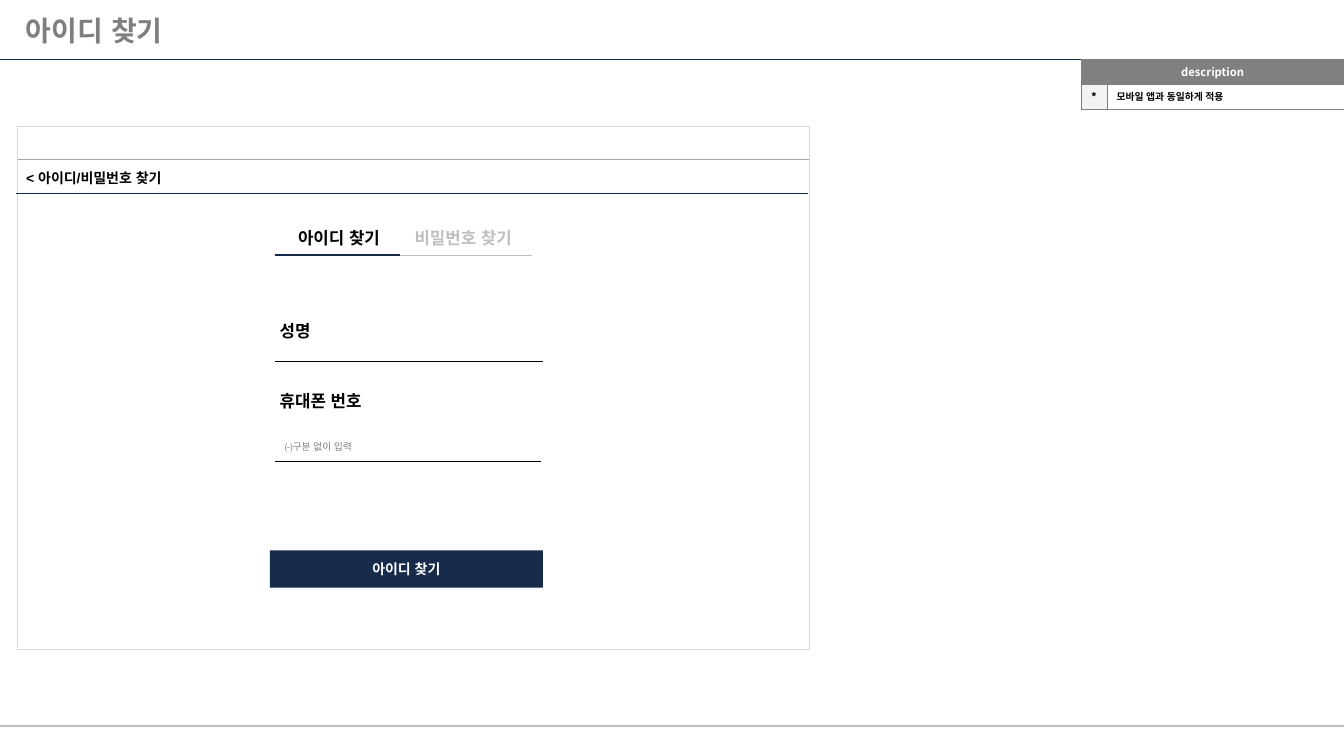
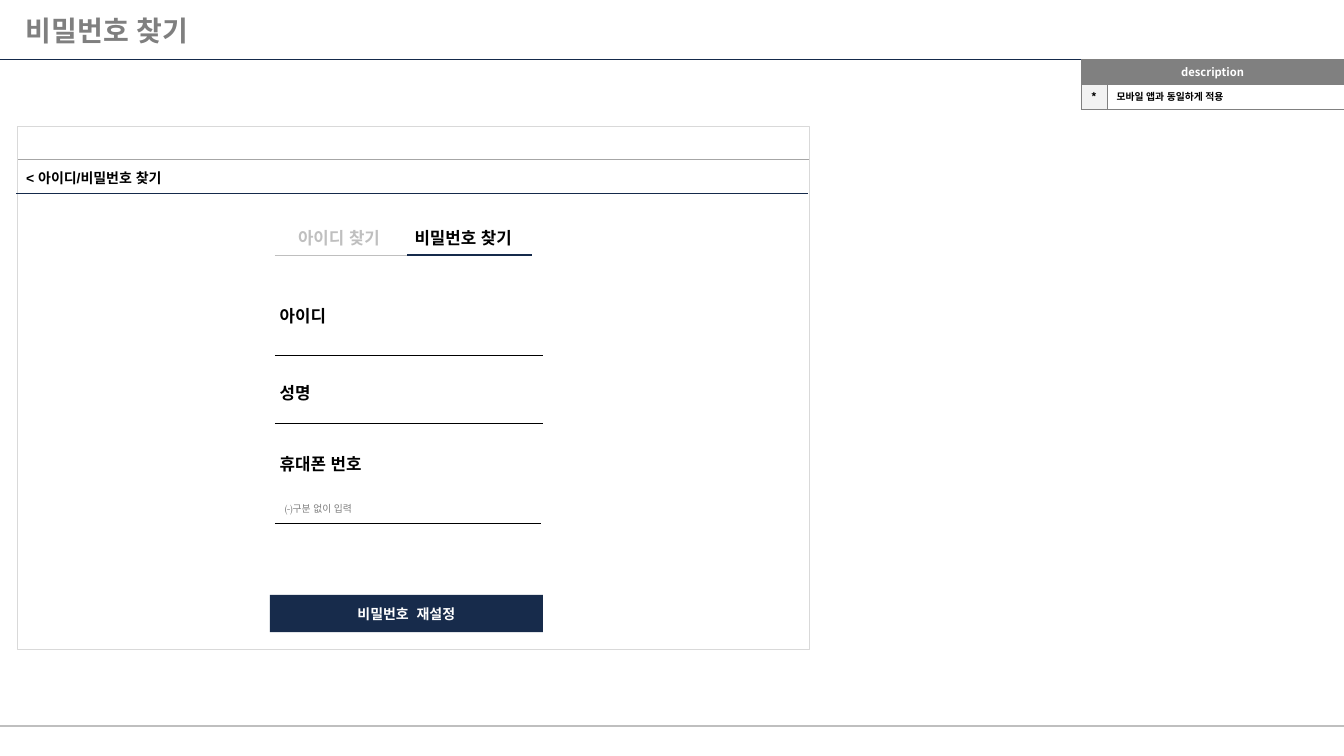
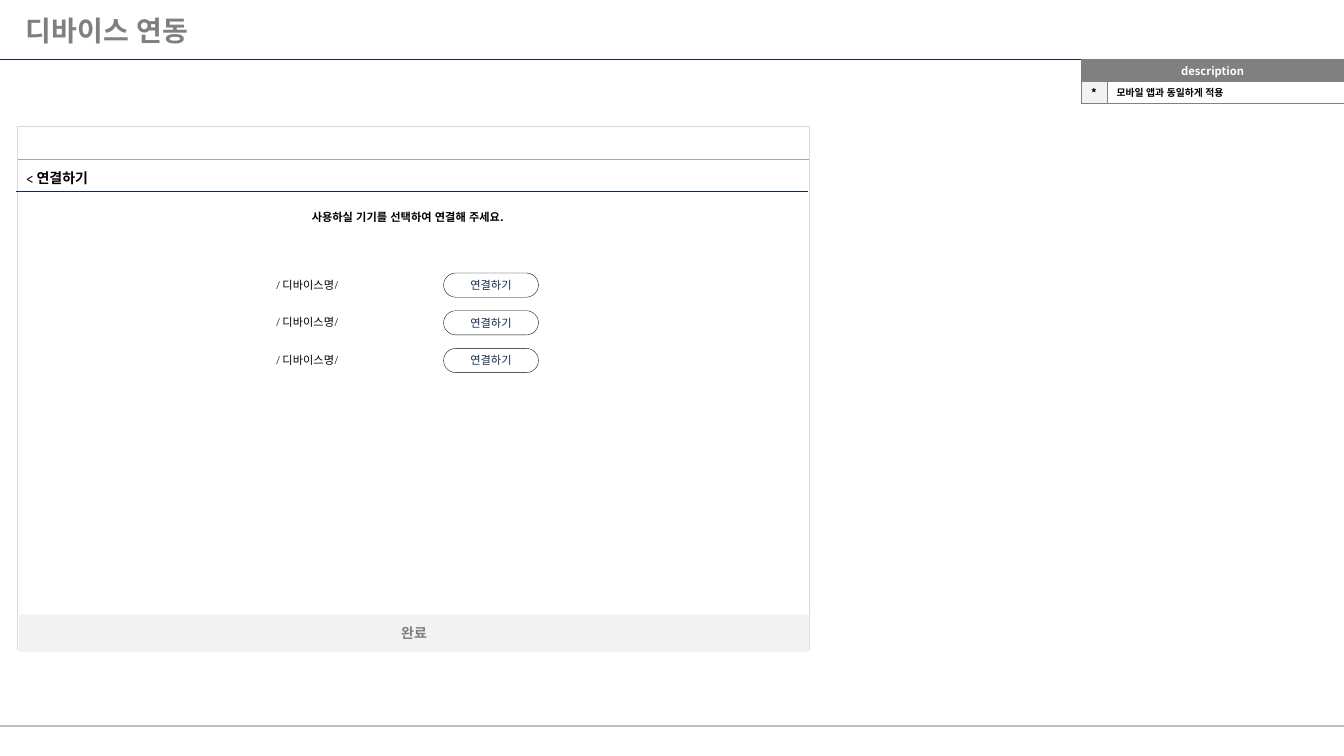
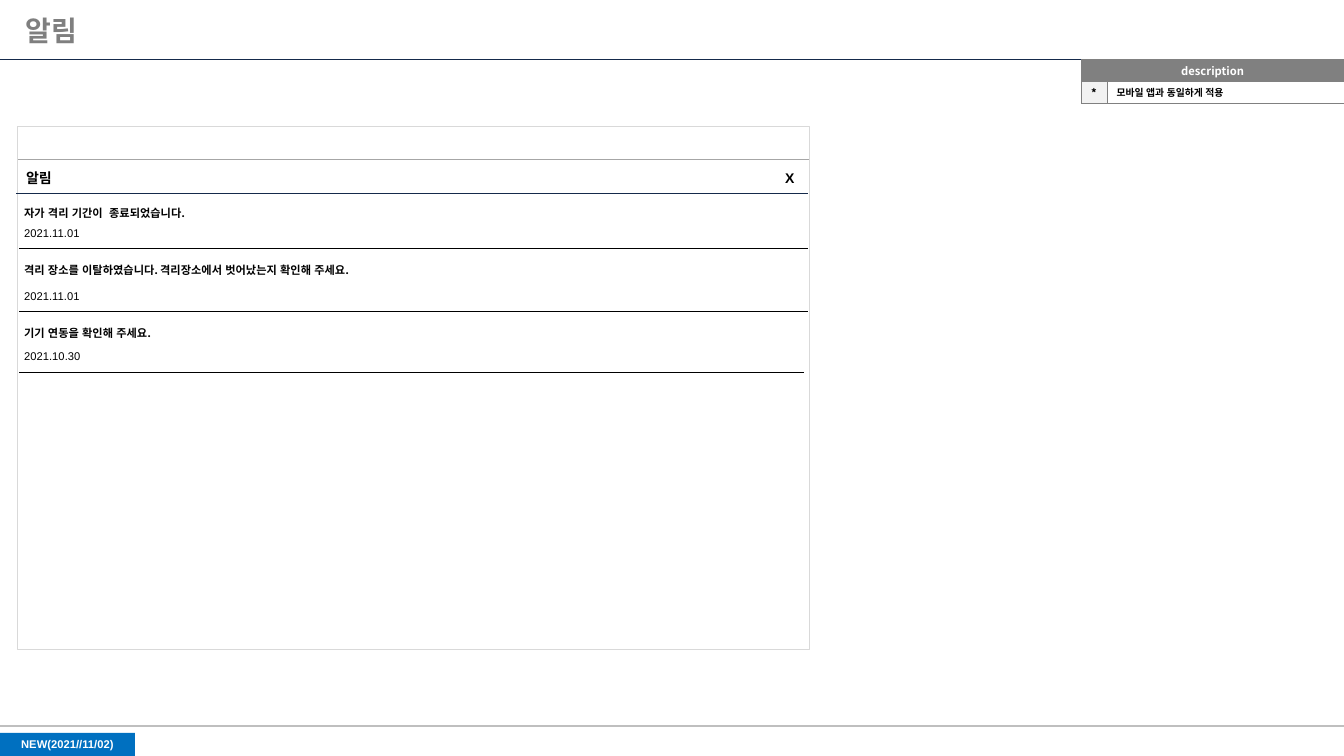
from dataclasses import dataclass

from lxml import etree
from pptx import Presentation
from pptx.dml.color import RGBColor
from pptx.enum.shapes import MSO_CONNECTOR, MSO_SHAPE
from pptx.enum.text import MSO_ANCHOR, PP_ALIGN
from pptx.oxml.ns import qn
from pptx.util import Cm, Pt

LEFT, CENTER, RIGHT = PP_ALIGN.LEFT, PP_ALIGN.CENTER, PP_ALIGN.RIGHT
TOP, MIDDLE = MSO_ANCHOR.TOP, MSO_ANCHOR.MIDDLE
RECTANGLE, ROUNDED = MSO_SHAPE.RECTANGLE, MSO_SHAPE.ROUNDED_RECTANGLE
STRAIGHT = MSO_CONNECTOR.STRAIGHT


@dataclass(frozen=True)
class Theme:
    black: str = "000000"
    white: str = "FFFFFF"
    navy: str = "152A4B"
    button: str = "172B4B"
    badge: str = "0070C0"
    title: str = "7F7F7F"
    gray: str = "808080"
    rule: str = "A6A6A6"
    inactive: str = "BFBFBF"
    frame: str = "D9D9D9"
    pale: str = "F2F2F2"
    title_size: float = 20
    field_size: float = 12
    header_size: float = 10
    body_size: float = 8
    small_size: float = 7
    title_font: str = "League Spartan"
    body_font: str = "Vollkorn"
    plain_font: str = "Arial"
    korean_font: str = "Noto Sans CJK KR"
    hairline: float = 0.25


theme = Theme()


def write_text(text_frame, text, *, size=theme.body_size, font=theme.body_font,
               color=theme.black, bold=False, align=LEFT, anchor=TOP):
    text_frame.word_wrap = True
    text_frame.vertical_anchor = anchor
    paragraph = text_frame.paragraphs[0]
    paragraph.alignment = align
    run = paragraph.add_run()
    run.text = text
    run.font.size = Pt(size)
    run.font.bold = bold
    run.font.color.rgb = RGBColor.from_string(color)
    run.font.name = font
    properties = run._r.get_or_add_rPr()
    properties.set("lang", "ko-KR")
    etree.SubElement(properties, qn("a:ea"), typeface=theme.korean_font)


def add_line(slide, left, right, top, color=theme.black, width=theme.hairline):
    connector = slide.shapes.add_connector(STRAIGHT, Cm(left), Cm(top), Cm(right), Cm(top))
    connector.line.color.rgb = RGBColor.from_string(color)
    connector.line.width = Pt(width)
    etree.SubElement(connector.element.find(qn("p:spPr")), qn("a:effectLst"))
    return connector


presentation = Presentation()
presentation.slide_width = Cm(33.87)
presentation.slide_height = Cm(19.05)
layout = presentation.slide_layouts[5]

for placeholder in list(layout.placeholders)[1:]:
    placeholder.element.getparent().remove(placeholder.element)
layout_title = layout.placeholders[0]
layout_title.left, layout_title.top = Cm(0.4), Cm(0.08)
layout_title.width, layout_title.height = Cm(33.1), Cm(1.37)

pages = [
    ("아이디 찾기", 0.62),
    ("비밀번호 찾기", 0.62),
    ("디바이스 연동", 0.55),
    ("알림", 0.55),
]
slides = [presentation.slides.add_slide(layout) for page in pages]
find_id, find_password, connect_device, notices = slides

frame = find_id.shapes.add_shape(RECTANGLE, Cm(0.43), Cm(3.18), Cm(19.96), Cm(13.18))
frame.shadow.inherit = False
frame.fill.solid()
frame.fill.fore_color.rgb = RGBColor.from_string(theme.white)
frame.line.color.rgb = RGBColor.from_string(theme.frame)
frame.line.width = Pt(0.75)
shared_shapes = [
    frame,
    add_line(find_id, 0, 33.87, 18.29, theme.inactive, 1),
    add_line(find_id, 0, 33.87, 1.5, theme.navy, 0.75),
    add_line(find_id, 0.46, 20.4, 4.02, theme.rule),
]
for shape in shared_shapes:
    layout.shapes.element.append(shape.element)

for slide, (title, row_height) in zip(slides, pages):
    write_text(slide.shapes.title.text_frame, title, size=theme.title_size,
               font=theme.title_font, color=theme.title, bold=True, anchor=MIDDLE)

    table = slide.shapes.add_table(2, 2, Cm(27.25), Cm(1.5), Cm(6.62), Cm(2 * row_height)).table
    table.first_row = table.horz_banding = False
    table.columns[0].width, table.columns[1].width = Cm(0.64), Cm(5.98)
    for row in table.rows:
        row.height = Cm(row_height)
    table.cell(0, 0).merge(table.cell(0, 1))
    cells = [
        (0, 0, "description", theme.gray, 0.1,
         dict(font=theme.korean_font, color=theme.white, align=CENTER)),
        (0, 1, "", theme.gray, 0.1, {}),
        (1, 0, "*", theme.pale, 0.1, dict(font=theme.korean_font, align=CENTER)),
        (1, 1, "모바일 앱과 동일하게 적용", theme.white, 0.25,
         dict(font=theme.korean_font, size=theme.small_size)),
    ]
    for row, column, text, fill, margin, text_format in cells:
        cell = table.cell(row, column)
        cell.margin_left = cell.margin_right = Cm(margin)
        cell.margin_top = cell.margin_bottom = 0
        cell.vertical_anchor = MIDDLE
        if text:
            write_text(cell.text_frame, text, bold=True, anchor=MIDDLE, **text_format)
        properties = cell._tc.get_or_add_tcPr()
        for side in ("a:lnL", "a:lnR", "a:lnT", "a:lnB"):
            border = etree.SubElement(properties, qn(side), w=str(Pt(theme.hairline)))
            border_fill = etree.SubElement(border, qn("a:solidFill"))
            etree.SubElement(border_fill, qn("a:srgbClr"), val=theme.gray)
        cell.fill.solid()
        cell.fill.fore_color.rgb = RGBColor.from_string(fill)

header_format = dict(size=theme.header_size, bold=True)
plain_header = dict(header_format, font=theme.plain_font)
field_format = dict(size=theme.field_size, bold=True)
hint_format = dict(size=theme.small_size, color=theme.gray)
date_format = dict(font=theme.plain_font)

labels = [
    (connect_device, "< 연결하기", 0.41, 4.14, 7.62, header_format),
    (connect_device, "사용하실 기기를 선택하여 연결해 주세요.", 5.79, 5.18, 8.97,
     dict(bold=True, align=CENTER)),
    (notices, "알림", 0.41, 4.14, 7.62, plain_header),
    (notices, "X", 17.27, 4.14, 3, dict(plain_header, align=RIGHT)),
]
button_format = dict(header_format, color=theme.white)
boxes = [
    (find_id, "아이디 찾기", 6.8, 13.87, 6.88, 0.94, 0, theme.button, None, button_format),
    (find_password, "비밀번호  재설정", 6.8, 14.99, 6.88, 0.94, 0, theme.button, None, button_format),
    (connect_device, "완료", 0.48, 15.49, 19.91, 0.94, 0, theme.pale, None,
     dict(header_format, color=theme.gray)),
    (notices, "NEW(2021//11/02)", 0, 18.47, 3.4, 0.58, None, theme.badge, None,
     dict(font=theme.plain_font, color=theme.white, bold=True)),
]

for slide, header_line in zip(slides, (4.88, 4.88, 4.83, 4.88)):
    add_line(slide, 0.41, 20.37, header_line, theme.navy)

tabs = [("아이디 찾기", 6.93, 6.93), ("비밀번호 찾기", 10.06, 10.26)]
for active, (slide, shift) in enumerate([(find_id, 0), (find_password, 1.57)]):
    labels.append((slide, "< 아이디/비밀번호 찾기", 0.41, 4.14, 7.62, plain_header))
    add_line(slide, 6.93, 13.41, 6.43, theme.inactive, 0.75)
    for index, (text, left, line_left) in enumerate(tabs):
        color = theme.black if index == active else theme.inactive
        labels.append((slide, text, left, 5.61, 3.23,
                       dict(field_format, color=color, align=CENTER)))
        if index == active:
            add_line(slide, line_left, line_left + 3.15, 6.43, theme.navy, 1.5)
    labels += [
        (slide, "성명", 6.8, 7.95 + shift, 3.23, field_format),
        (slide, "휴대폰 번호", 6.8, 9.73 + shift, 3.23, field_format),
        (slide, "(-)구분 없이 입력", 6.93, 10.97 + shift, 3.23, hint_format),
    ]
    add_line(slide, 6.93, 13.69, 9.09 + shift)
    add_line(slide, 6.93, 13.64, 11.61 + shift)

labels.append((find_password, "아이디", 6.8, 7.57, 3.23, field_format))
add_line(find_password, 6.93, 13.69, 8.94)

for index in range(3):
    top = 6.88 + 0.95 * index
    labels.append((connect_device, "/ 디바이스명/", 6.71, top, 3.23, {}))
    boxes.append((connect_device, "연결하기", 11.18, top, 2.39, 0.61, 0.5, theme.white,
                  theme.black, dict(color=theme.button)))

notice_rows = [
    ("자가 격리 기간이  종료되었습니다.", "2021.11.01", 5.08, 5.59, 6.25, 20.37),
    ("격리 장소를 이탈하였습니다. 격리장소에서 벗어났는지 확인해 주세요.", "2021.11.01",
     6.5, 7.16, 7.85, 20.37),
    ("기기 연동을 확인해 주세요.", "2021.10.30", 8.1, 8.69, 9.37, 20.27),
]
for message, date, message_top, date_top, line_top, line_right in notice_rows:
    labels.append((notices, message, 0.36, message_top, 18.42, dict(bold=True)))
    labels.append((notices, date, 0.36, date_top, 6.43, date_format))
    add_line(notices, 0.48, line_right, line_top)

for slide, text, left, top, width, text_format in labels:
    height = 0.76 if text_format.get("size") == theme.field_size else 0.65
    label = slide.shapes.add_textbox(Cm(left), Cm(top), Cm(width), Cm(height))
    write_text(label.text_frame, text, **text_format)

for slide, text, left, top, width, height, radius, fill, outline, text_format in boxes:
    preset = RECTANGLE if radius is None else ROUNDED
    box = slide.shapes.add_shape(preset, Cm(left), Cm(top), Cm(width), Cm(height))
    if radius is not None:
        box.adjustments[0] = radius
    box.shadow.inherit = False
    box.fill.solid()
    box.fill.fore_color.rgb = RGBColor.from_string(fill)
    if outline:
        box.line.color.rgb = RGBColor.from_string(outline)
        box.line.width = Pt(theme.hairline)
    else:
        box.line.fill.background()
    write_text(box.text_frame, text, align=CENTER, anchor=MIDDLE, **text_format)

presentation.save("out.pptx")
